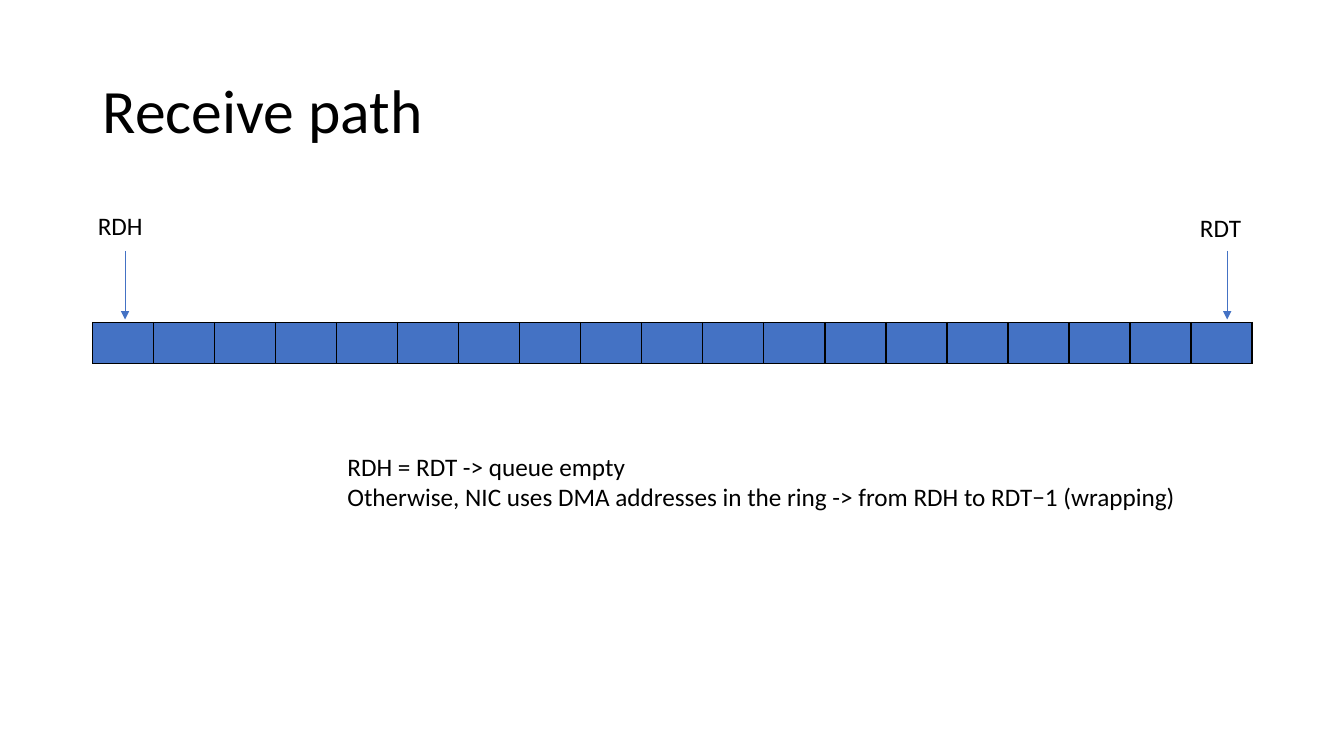
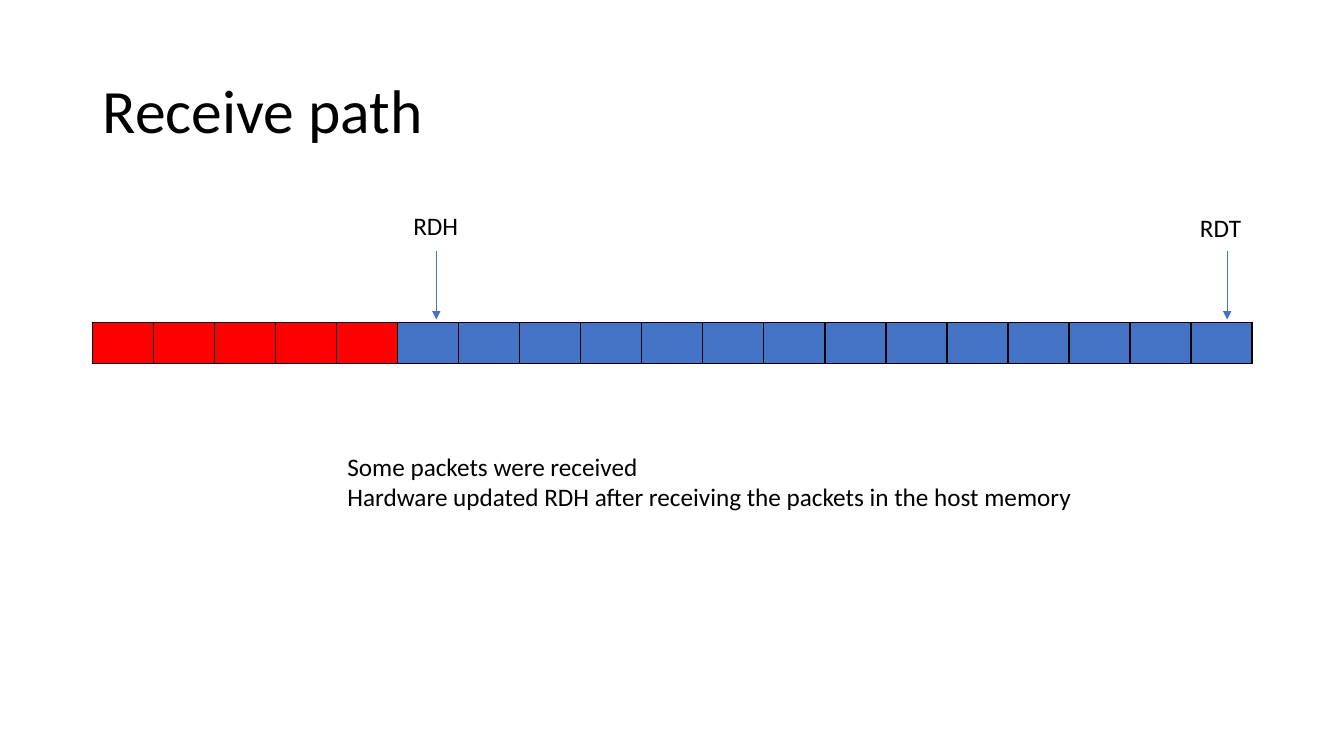
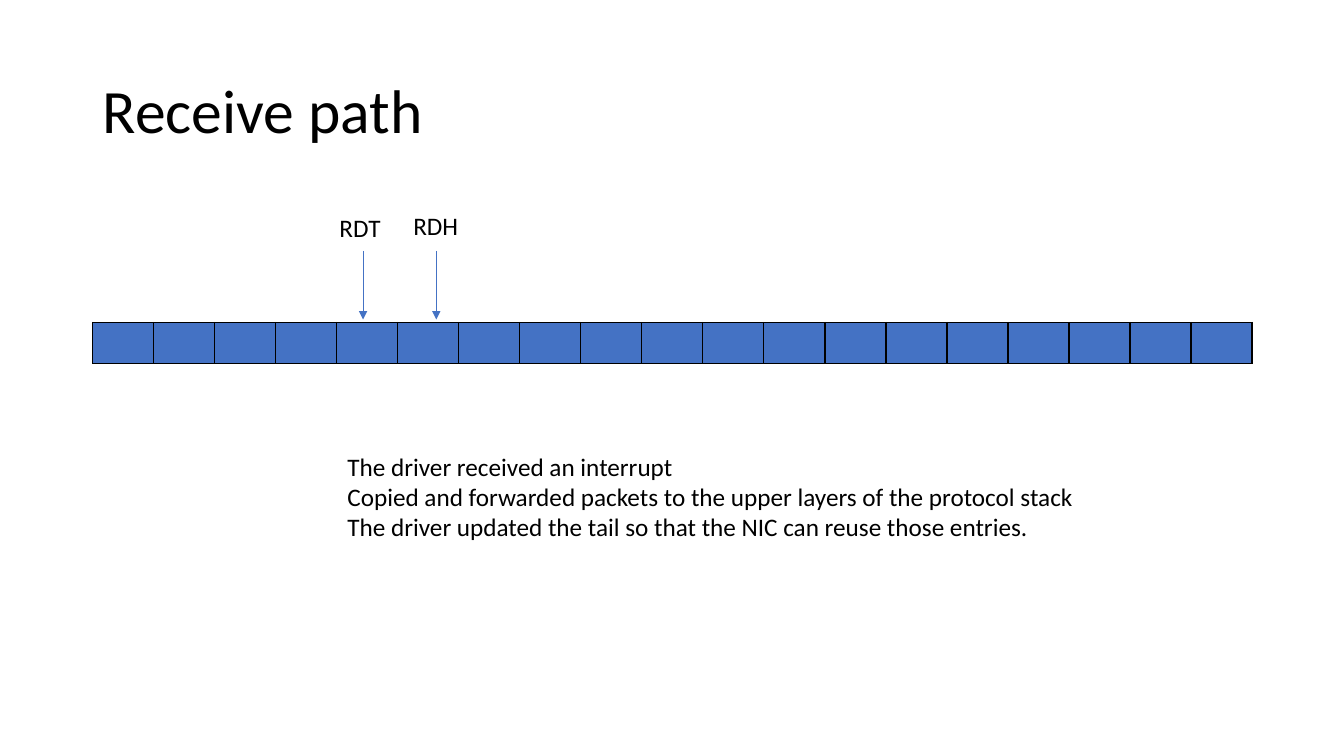
from dataclasses import dataclass

from lxml.etree import SubElement
from pptx import Presentation
from pptx.dml.color import RGBColor as RGB
from pptx.enum.shapes import MSO_CONNECTOR as Connector
from pptx.enum.text import MSO_ANCHOR as Anchor, MSO_AUTO_SIZE as AutoSize, PP_ALIGN as Align
from pptx.oxml import parse_xml
from pptx.oxml.ns import nsdecls, qn
from pptx.util import Emu, Inches, Pt


@dataclass(frozen=True)
class Theme:
    """Colours, font and type sizes shared by every slide."""
    font: str = "Calibri"
    title_size: int = 44
    text_size: int = 18
    ink: str = "000000"
    free: str = "4472C4"
    filled: str = "FF0000"
    arrow_width: float = 0.5
    border_width: float = 1


@dataclass(frozen=True)
class Grid:
    """Ring slots across and ring heights down, in inches."""
    slots: int = 19
    left: float = 0.92
    width: float = 11.5
    row: float = 0.41

    def dx(self, cols: float) -> Emu:
        """Width of a number of slots."""
        return Inches(cols * self.width / self.slots)

    def x(self, col: float) -> Emu:
        """Left position of a slot."""
        return Inches(self.left) + self.dx(col)

    def y(self, rows: float) -> Emu:
        """Height of a number of rows, or position from the top."""
        return Inches(rows * self.row)


@dataclass(frozen=True)
class Pointer:
    """A ring register: its label, and where the label and arrow stand."""
    label: str
    col: float
    label_col: float
    label_row: float


@dataclass(frozen=True)
class RingState:
    """One slide: the filled slots, the pointers and the explanation."""
    filled: int
    pointers: tuple[Pointer, ...]
    notes: tuple[str, ...]


THEME = Theme()
GRID = Grid()
TITLE = "Receive path"
RING_ROW = 7.8
ARROW_ROWS = (6.07, 7.73)

HEAD_START = Pointer("RDH", 0.53, -0.08, 4.98)
HEAD_MOVED = Pointer("RDH", 5.63, 5.09, 4.98)
TAIL_START = Pointer("RDT", 18.59, 17.98, 5.02)
TAIL_MOVED = Pointer("RDT", 4.43, 3.88, 5.02)

STATES = (
    RingState(0, (HEAD_START, TAIL_START), (
        "RDH = RDT -> queue empty",
        "Otherwise, NIC uses DMA addresses in the ring -> from RDH to RDT−1 (wrapping)",
    )),
    RingState(5, (HEAD_MOVED, TAIL_START), (
        "Some packets were received",
        "Hardware updated RDH after receiving the packets in the host memory",
    )),
    RingState(0, (HEAD_MOVED, TAIL_MOVED), (
        "The driver received an interrupt",
        "Copied and forwarded packets to the upper layers of the protocol stack",
        "The driver updated the tail so that the NIC can reuse those entries.",
    )),
)


def style_text(tf, size: int) -> None:
    """Give every run of a text frame the theme font."""
    for p in tf.paragraphs:
        p.alignment = Align.LEFT
        for r in p.runs:
            r.font.name = THEME.font
            r.font.size = Pt(size)
            r.font.color.rgb = RGB.from_string(THEME.ink)


def place_title(sp) -> None:
    """Move the title placeholder and set its text."""
    sp.left, sp.top = GRID.x(0), GRID.y(0.98)
    sp.width, sp.height = GRID.dx(GRID.slots), GRID.y(3.54)
    tf = sp.text_frame
    tf.text = TITLE
    tf.vertical_anchor = Anchor.MIDDLE
    tf.paragraphs[0].line_spacing = 0.9
    style_text(tf, THEME.title_size)


def add_text(s, lines: tuple[str, ...], col: float, row: float, cols: float) -> None:
    """Add a wrapping text box with one paragraph per line."""
    rows = 0.73 * len(lines) + 0.25
    sp = s.shapes.add_textbox(GRID.x(col), GRID.y(row), GRID.dx(cols), GRID.y(rows))
    tf = sp.text_frame
    tf.word_wrap = True
    tf.auto_size = AutoSize.SHAPE_TO_FIT_TEXT
    tf.text = "\n".join(lines)
    style_text(tf, THEME.text_size)


def border_cell(cell) -> None:
    """Draw a solid border on all four sides of a cell."""
    tc_pr = cell._tc.get_or_add_tcPr()
    for i, side in enumerate("LRTB"):
        tc_pr.insert(i, parse_xml(
            f'<a:ln{side} {nsdecls("a")} w="{Pt(THEME.border_width)}"><a:solidFill>'
            f'<a:srgbClr val="{THEME.ink}"/></a:solidFill></a:ln{side}>'))


def add_ring(s, filled: int) -> None:
    """Draw the descriptor ring with its leading slots filled."""
    table = s.shapes.add_table(1, GRID.slots, GRID.x(0), GRID.y(RING_ROW),
                               GRID.dx(GRID.slots), GRID.y(1)).table
    table.first_row = table.horz_banding = False
    for i, column in enumerate(table.columns):
        column.width = GRID.dx(1)
        cell = table.cell(0, i)
        cell.fill.solid()
        cell.fill.fore_color.rgb = RGB.from_string(THEME.filled if i < filled else THEME.free)
        border_cell(cell)


def add_arrow(s, col: float) -> None:
    """Draw an arrow down to the ring."""
    x = GRID.x(col)
    top, bottom = map(GRID.y, ARROW_ROWS)
    sp = s.shapes.add_connector(Connector.STRAIGHT, x, top, x, bottom)
    sp.line.color.rgb = RGB.from_string(THEME.free)
    sp.line.width = Pt(THEME.arrow_width)
    SubElement(sp.line._get_or_add_ln(), qn("a:tailEnd"), type="triangle")
    SubElement(sp._element.spPr, qn("a:effectLst"))


def add_state(prs, state: RingState) -> None:
    """Add the slide for one state of the ring."""
    s = prs.slides.add_slide(prs.slide_layouts.get_by_name("Title Only"))
    place_title(s.shapes.title)
    add_ring(s, state.filled)
    for pointer in state.pointers:
        add_arrow(s, pointer.col)
        add_text(s, (pointer.label,), pointer.label_col, pointer.label_row, 2.26)
    add_text(s, state.notes, 4.01, 10.8, 14.18)


def main() -> None:
    """Build and save the presentation."""
    prs = Presentation()
    prs.slide_width, prs.slide_height = Inches(13.33), Inches(7.5)
    for state in STATES:
        add_state(prs, state)
    prs.save("out.pptx")


if __name__ == "__main__":
    main()
